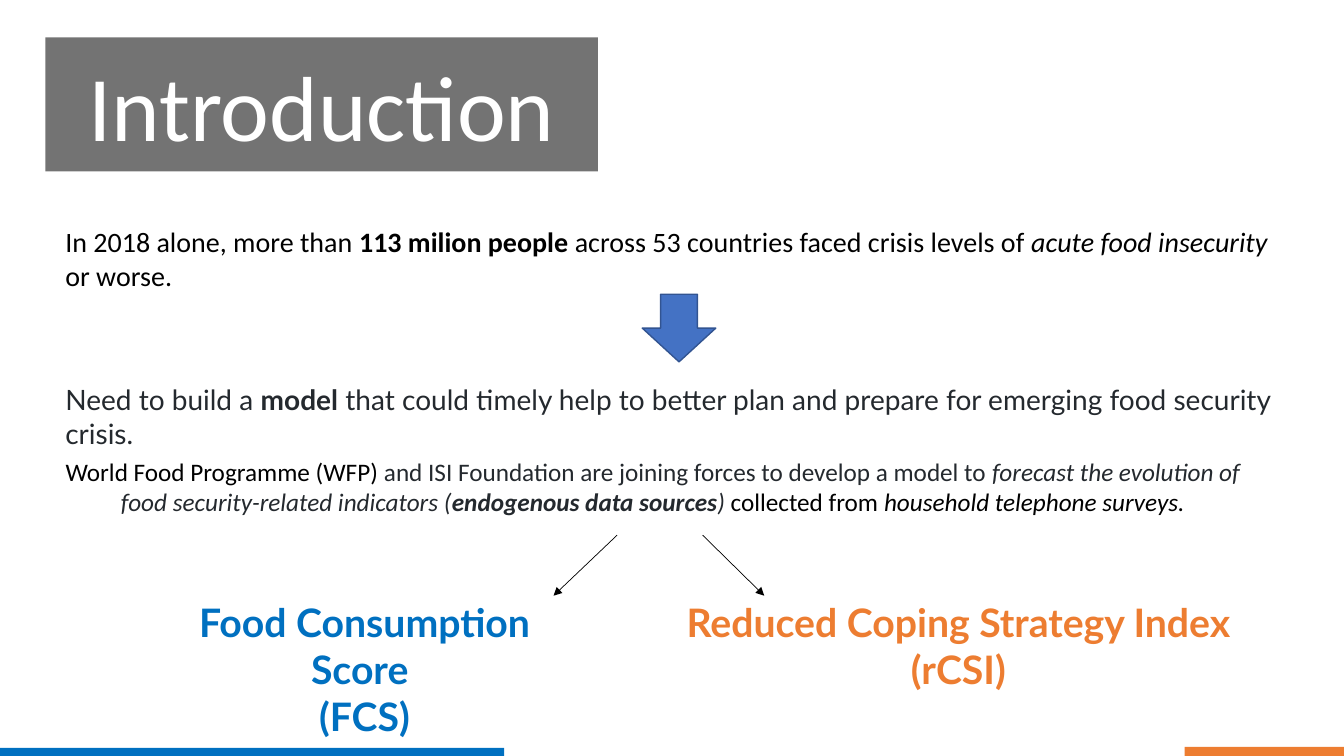
from dataclasses import dataclass

from lxml import etree
from pptx import Presentation
from pptx.dml.color import RGBColor
from pptx.enum.shapes import MSO_CONNECTOR, MSO_SHAPE
from pptx.enum.text import MSO_ANCHOR, MSO_AUTO_SIZE, PP_ALIGN
from pptx.oxml.ns import qn
from pptx.slide import Slide
from pptx.util import Inches, Pt

RECTANGLE, DOWN_ARROW = MSO_SHAPE.RECTANGLE, MSO_SHAPE.DOWN_ARROW
STRAIGHT = MSO_CONNECTOR.STRAIGHT
LEFT, CENTER = PP_ALIGN.LEFT, PP_ALIGN.CENTER
MIDDLE = MSO_ANCHOR.MIDDLE
NO_AUTOFIT, GROW = MSO_AUTO_SIZE.NONE, MSO_AUTO_SIZE.SHAPE_TO_FIT_TEXT


@dataclass(frozen=True)
class Theme:
    black: str = "000000"
    white: str = "FFFFFF"
    ink: str = "24292E"
    blue: str = "0070C0"
    orange: str = "ED7D31"
    arrow_fill: str = "4472C4"
    arrow_line: str = "325491"
    body_font: str = "Calibri"
    accent_font: str = "Lato"
    title_size: int = 66
    index_size: int = 28
    lead_size: int = 20
    detail_size: int = 18


THEME = Theme()


@dataclass(frozen=True)
class Box:
    left: float
    top: float
    width: float
    height: float

    def lengths(self) -> tuple:
        return tuple(Inches(v) for v in (self.left, self.top, self.width, self.height))


@dataclass(frozen=True)
class Span:
    text: str
    color: str = THEME.black
    bold: bool = False
    italic: bool = False


@dataclass(frozen=True)
class Statement:
    box: Box
    font: str
    size: int
    align: PP_ALIGN
    paragraphs: tuple[tuple[Span, ...], ...]


@dataclass(frozen=True)
class Block:
    kind: MSO_SHAPE
    box: Box
    fill: str
    line: str | None = None


@dataclass(frozen=True)
class Branch:
    start: tuple[float, float]
    end: tuple[float, float]


BLOCKS = (
    Block(RECTANGLE, Box(-0.01, 7.42, 5.01, 0.1), THEME.blue),
    Block(RECTANGLE, Box(11.75, 7.41, 1.58, 0.1), THEME.orange),
    Block(DOWN_ARROW, Box(6.37, 2.92, 0.73, 0.67), THEME.arrow_fill, THEME.arrow_line),
)

BRANCHES = (
    Branch((6.12, 5.31), (5.49, 5.91)),
    Branch((6.97, 5.31), (7.58, 5.91)),
)

STATEMENTS = (
    Statement(Box(0.55, 2.18, 12.36, 0.77), THEME.body_font, THEME.lead_size, LEFT, ((
        Span("In 2018 alone, more than "),
        Span("113 milion people ", bold=True),
        Span("across 53 countries faced crisis levels of "),
        Span("acute food insecurity", italic=True),
        Span(" or worse."),
    ),)),
    Statement(Box(0.55, 3.75, 12.36, 0.44), THEME.accent_font, THEME.lead_size, LEFT, ((
        Span("Need to build a ", THEME.ink),
        Span("model", THEME.ink, bold=True),
        Span(" that could timely help to better plan and prepare for emerging "
             "food security crisis.", THEME.ink),
    ),)),
    Statement(Box(0.55, 4.48, 11.85, 1.01), THEME.body_font, THEME.detail_size, CENTER, ((
        Span("World Food Programme (WFP) "),
        Span("and ISI Foundation are joining forces to develop a model to ", THEME.ink),
        Span("forecast the evolution of food security-related indicators (",
             THEME.ink, italic=True),
        Span("endogenous data sources", THEME.ink, bold=True, italic=True),
        Span(") ", THEME.ink, italic=True),
        Span("collected from "),
        Span("household telephone surveys.", italic=True),
    ),)),
    Statement(Box(1.44, 5.89, 4.35, 1.04), THEME.accent_font, THEME.index_size, CENTER, (
        (Span("Food Consumption Score ", THEME.blue, bold=True),),
        (Span("(FCS)", THEME.blue, bold=True),),
    )),
    Statement(Box(6.58, 5.89, 5.85, 1.04), THEME.accent_font, THEME.index_size, CENTER, (
        (Span("Reduced Coping Strategy Index (rCSI)", THEME.orange, bold=True),),
    )),
)


def rgb(color: str) -> RGBColor:
    return RGBColor.from_string(color)


def add_span(paragraph, span: Span, font: str, size: int) -> None:
    run = paragraph.add_run()
    run.text = span.text
    run.font.name = font
    run.font.size = Pt(size)
    run.font.bold = span.bold
    run.font.italic = span.italic
    run.font.color.rgb = rgb(span.color)


def format_title(slide: Slide) -> None:
    """Turn the title placeholder into a translucent black banner."""
    title = slide.shapes.title
    title.left, title.top, title.width, title.height = Box(0.45, 0.37, 5.48, 1.33).lengths()
    title.fill.solid()
    title.fill.fore_color.rgb = rgb(THEME.black)
    fill_color = title.fill._xPr.find(qn("a:solidFill"))[0]
    etree.SubElement(fill_color, qn("a:alpha"), val="55000")
    frame = title.text_frame
    frame.auto_size = NO_AUTOFIT
    frame.vertical_anchor = MIDDLE
    paragraph = frame.paragraphs[0]
    paragraph.alignment = CENTER
    add_span(paragraph, Span("Introduction", THEME.white), THEME.body_font, THEME.title_size)


def add_block(slide: Slide, block: Block) -> None:
    shape = slide.shapes.add_shape(block.kind, *block.box.lengths())
    shape.shadow.inherit = False
    shape.fill.solid()
    shape.fill.fore_color.rgb = rgb(block.fill)
    if block.line:
        shape.line.color.rgb = rgb(block.line)
        shape.line.width = Pt(1)
    else:
        shape.line.fill.background()


def add_statement(slide: Slide, statement: Statement) -> None:
    frame = slide.shapes.add_textbox(*statement.box.lengths()).text_frame
    frame.word_wrap = True
    frame.auto_size = GROW
    for index, spans in enumerate(statement.paragraphs):
        paragraph = frame.add_paragraph() if index else frame.paragraphs[0]
        paragraph.alignment = statement.align
        for span in spans:
            add_span(paragraph, span, statement.font, statement.size)


def add_branch(slide: Slide, branch: Branch) -> None:
    """Draw a thin arrow from the model sentence to one index."""
    ends = (Inches(v) for v in branch.start + branch.end)
    arrow = slide.shapes.add_connector(STRAIGHT, *ends)
    arrow.line.color.rgb = rgb(THEME.black)
    arrow.line.width = Pt(0.5)
    etree.SubElement(arrow.line._get_or_add_ln(), qn("a:tailEnd"), type="triangle")
    etree.SubElement(arrow._element.spPr, qn("a:effectLst"))


def main() -> None:
    deck = Presentation()
    deck.slide_width, deck.slide_height = Inches(13.33), Inches(7.5)
    slide = deck.slides.add_slide(deck.slide_layouts.get_by_name("Title Only"))
    format_title(slide)
    for statement in STATEMENTS:
        add_statement(slide, statement)
    for branch in BRANCHES:
        add_branch(slide, branch)
    for block in BLOCKS:
        add_block(slide, block)
    deck.save("out.pptx")


if __name__ == "__main__":
    main()
